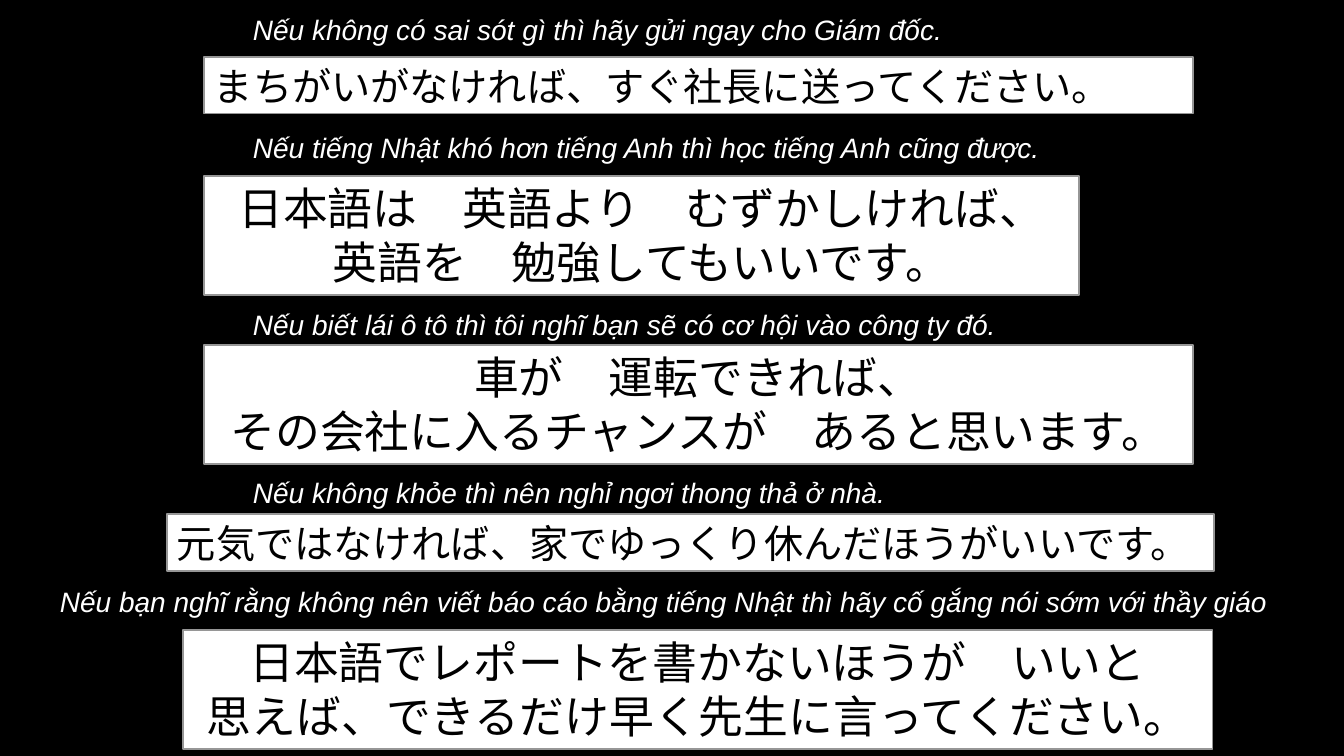
from pptx import Presentation
from pptx.dml.color import RGBColor
from pptx.enum.shapes import MSO_SHAPE as Shape
from pptx.enum.text import MSO_ANCHOR as Anchor, MSO_AUTO_SIZE as AutoSize, PP_ALIGN as Align
from pptx.util import Emu, Pt

EMU_PER_PX = 914400 / 100.8
SLIDE_WIDTH, SLIDE_HEIGHT = 1344, 756
BLANK_LAYOUT = 6

BLACK = RGBColor(0x00, 0x00, 0x00)
WHITE = RGBColor(0xFF, 0xFF, 0xFF)
GRAY = RGBColor(0x96, 0x96, 0x96)

PROMPT_FONT = {"name": "Arial", "size": Pt(20), "italic": True}
ONE_LINE_FONT = {"name": "Lato", "size": Pt(28)}
TWO_LINE_FONT = {"name": "Lato", "size": Pt(32)}

PROMPT_HEIGHT = 44
ONE_LINE_HEIGHT = 57
TWO_LINE_HEIGHT = 119

# Vietnamese prompts: left, top, width, text
PROMPTS = [
    (243, 8, 764, "Nếu không có sai sót gì thì hãy gửi ngay cho Giám đốc."),
    (243, 126, 848, "Nếu tiếng Nhật khó hơn tiếng Anh thì học tiếng Anh cũng được."),
    (243, 303, 850, "Nếu biết lái ô tô thì tôi nghĩ bạn sẽ có cơ hội vào công ty đó."),
    (243, 471, 850, "Nếu không khỏe thì nên nghỉ ngơi thong thả ở nhà."),
    (50, 580, 1268, "Nếu bạn nghĩ rằng không nên viết báo cáo bằng tiếng Nhật "
                    "thì hãy cố gắng nói sớm với thầy giáo"),
]

# Japanese answers: left, top, width, text
ANSWERS = [
    (204, 57, 989, "まちがいがなければ、すぐ社長に送ってください。"),
    (204, 176, 875, "日本語は　英語より　むずかしければ、\n英語を　勉強してもいいです。"),
    (204, 345, 989, "車が　運転できれば、\nその会社に入るチャンスが　あると思います。"),
    (167, 514, 1047, "元気ではなければ、家でゆっくり休んだほうがいいです。"),
    (183, 630, 1030, "日本語でレポートを書かないほうが　いいと\n"
                     "思えば、できるだけ早く先生に言ってください。"),
]


def px(*lengths):
    return [Emu(round(length * EMU_PER_PX)) for length in lengths]


def write_text(shape, text, font_format, color, align):
    frame = shape.text_frame
    frame.word_wrap = True
    frame.auto_size = AutoSize.SHAPE_TO_FIT_TEXT
    paragraph = frame.paragraphs[0]
    paragraph.alignment = align
    for index, line in enumerate(text.split("\n")):
        if index:
            paragraph.add_line_break()
        run = paragraph.add_run()
        run.text = line
        for attribute, value in font_format.items():
            setattr(run.font, attribute, value)
        run.font.color.rgb = color


def add_prompt(slide, left, top, width, text):
    box = slide.shapes.add_textbox(*px(left, top, width, PROMPT_HEIGHT))
    write_text(box, text, PROMPT_FONT, WHITE, Align.LEFT)


def add_answer(slide, left, top, width, text):
    two_lines = "\n" in text
    height = TWO_LINE_HEIGHT if two_lines else ONE_LINE_HEIGHT
    box = slide.shapes.add_shape(Shape.RECTANGLE, *px(left, top, width, height))
    box.shadow.inherit = False
    box.fill.solid()
    box.fill.fore_color.rgb = WHITE
    box.line.color.rgb = GRAY
    box.line.width = Pt(0.85)
    box.text_frame.vertical_anchor = Anchor.TOP
    font_format = TWO_LINE_FONT if two_lines else ONE_LINE_FONT
    write_text(box, text, font_format, BLACK, Align.CENTER if two_lines else Align.LEFT)


def main():
    presentation = Presentation()
    presentation.slide_width, presentation.slide_height = px(SLIDE_WIDTH, SLIDE_HEIGHT)
    slide = presentation.slides.add_slide(presentation.slide_layouts[BLANK_LAYOUT])

    # Black background
    background = slide.background.fill
    background.solid()
    background.fore_color.rgb = BLACK

    # Each prompt with its answer below
    for prompt, answer in zip(PROMPTS, ANSWERS):
        add_prompt(slide, *prompt)
        add_answer(slide, *answer)

    presentation.save("out.pptx")


if __name__ == "__main__":
    main()
